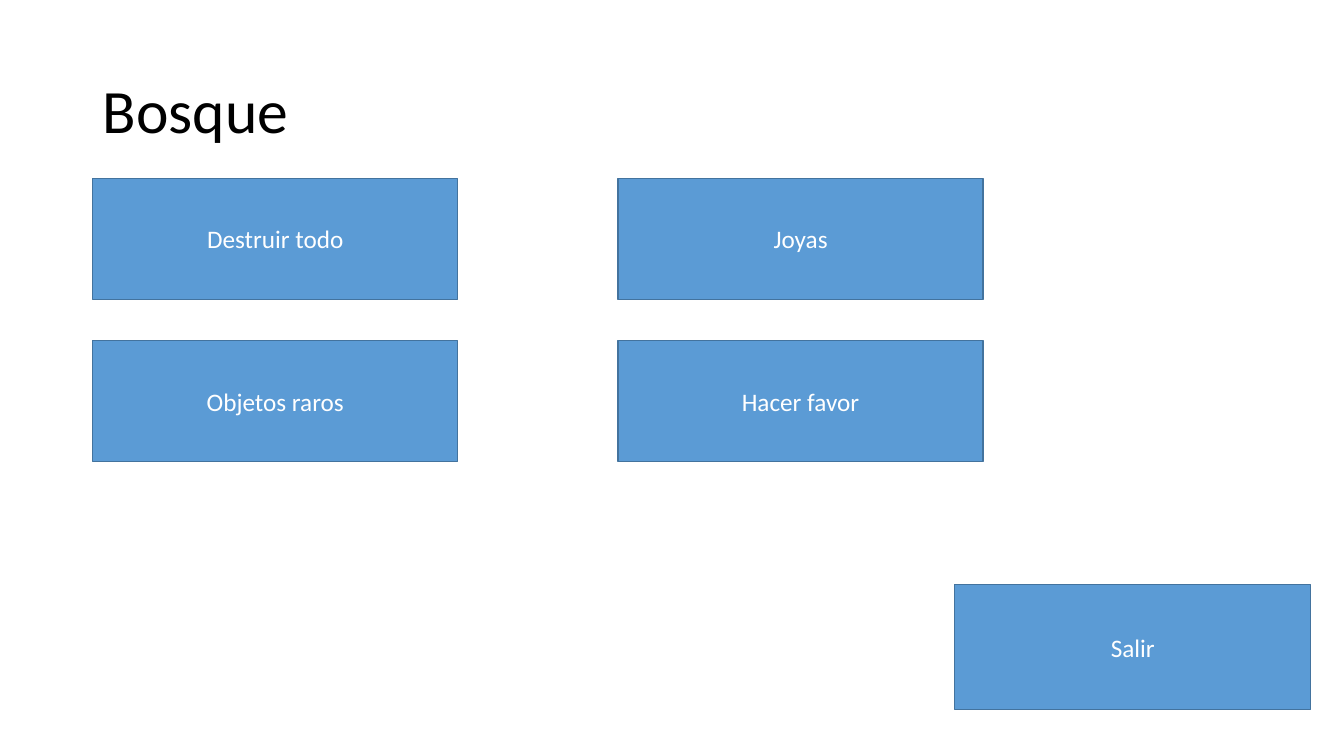
"""Build the Bosque menu slide: a title, a grid of choices and an exit button."""
from pptx import Presentation
from pptx.dml.color import RGBColor
from pptx.enum.shapes import MSO_SHAPE as Shape
from pptx.enum.text import MSO_ANCHOR as Anchor, PP_ALIGN as Align
from pptx.util import Inches, Pt

TITLE = "Bosque"
CHOICES = [["Destruir todo", "Joyas"],
           ["Objetos raros", "Hacer favor"]]
EXIT = "Salir"

LEFT, TOP = 0.92, 1.77
COLUMN_STEP, ROW_STEP = 5.21, 1.61
CHOICE_SIZE = 3.62, 1.2
TITLE_BOX = LEFT, 0.4, 11.5, 1.45
EXIT_BOX = 9.47, 5.8, 3.53, 1.24


def color(hex_code):
    return RGBColor.from_string(hex_code)


def write(holder, text, size=18, ink="FFFFFF", align=Align.CENTER, spacing=1.0):
    frame = holder.text_frame
    frame.word_wrap = True
    frame.vertical_anchor = Anchor.MIDDLE
    paragraph = frame.paragraphs[0]
    paragraph.alignment = align
    paragraph.line_spacing = spacing
    run = paragraph.add_run()
    run.text = text
    run.font.name = "Calibri"
    run.font.size = Pt(size)
    run.font.color.rgb = color(ink)


def add_button(slide, text, box):
    button = slide.shapes.add_shape(Shape.RECTANGLE, *map(Inches, box))
    button.shadow.inherit = False
    button.fill.solid()
    button.fill.fore_color.rgb = color("5B9BD5")
    button.line.color.rgb = color("43739E")
    button.line.width = Pt(1)
    write(button, text)


deck = Presentation()
deck.slide_width, deck.slide_height = Inches(13.33), Inches(7.5)
menu = deck.slides.add_slide(deck.slide_layouts[6])

heading = menu.shapes.add_textbox(*map(Inches, TITLE_BOX))
write(heading, TITLE, size=44, ink="000000", align=Align.LEFT, spacing=0.9)

add_button(menu, EXIT, EXIT_BOX)
for row, choices in enumerate(CHOICES):
    for column, choice in enumerate(choices):
        corner = LEFT + column * COLUMN_STEP, TOP + row * ROW_STEP
        add_button(menu, choice, corner + CHOICE_SIZE)

deck.save("out.pptx")
